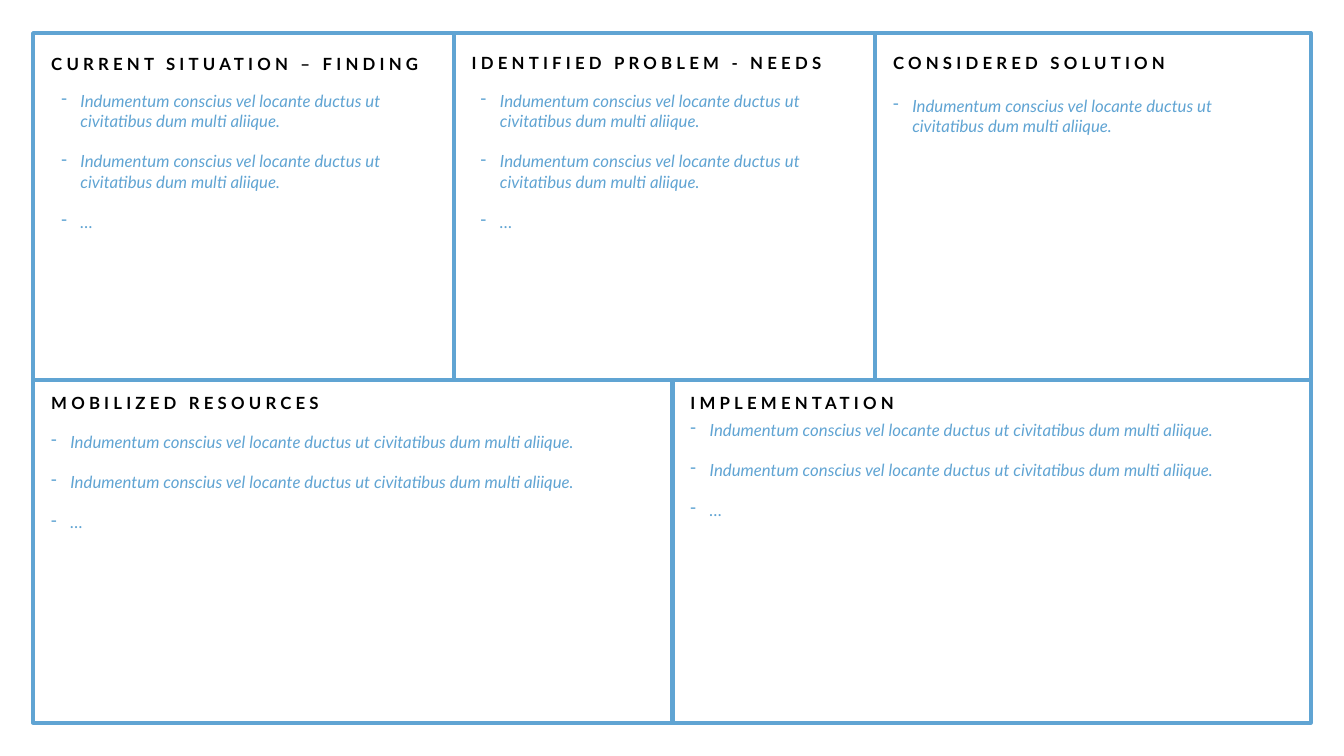
from pptx import Presentation
from pptx.dml.color import RGBColor
from pptx.enum.shapes import MSO_SHAPE
from pptx.enum.text import MSO_AUTO_SIZE
from pptx.oxml.xmlchemy import OxmlElement
from pptx.util import Inches, Pt

BLUE, BLACK = "60A4D3", "000000"
FONT = "Lato"
LINE = "Indumentum conscius vel locante ductus ut civitatibus dum multi aliique."
FULL = [LINE, LINE, "…"]

LEFT, TOP, RIGHT, BASE = 0.33, 0.33, 13.0, 7.17
SPLIT = 3.77
PAD = 0.08
HEAD_W, HEAD_H = 4.04, 0.3

# fields: heading, items, heading top, list indent, list top, list width, list height
ROWS = [
    (TOP, SPLIT, [LEFT, 4.5, 8.68, RIGHT], [
        ("CURRENT SITUATION – FINDING", FULL, 0.48, 0.1, 0.85, 3.43, 1.72),
        ("IDENTIFIED PROBLEM - NEEDS", FULL, 0.47, 0.09, 0.85, 3.43, 1.51),
        ("CONSIDERED SOLUTION", [LINE], 0.47, 0, 0.9, 3.43, 0.71),
    ]),
    (SPLIT, BASE, [LEFT, 6.67, RIGHT], [
        ("MOBILIZED RESOURCES", FULL, 3.85, 0, 4.23, 6.14, 1.31),
        ("IMPLEMENTATION", FULL, 3.85, 0, 4.11, 6.05, 1.31),
    ]),
]


def paint(color):
    return RGBColor.from_string(color)


def add_pane(slide, left, top, right, base):
    pane = slide.shapes.add_shape(
        MSO_SHAPE.RECTANGLE, Inches(left), Inches(top),
        Inches(right - left), Inches(base - top))
    pane.shadow.inherit = False
    pane.fill.background()
    pane.line.color.rgb = paint(BLUE)
    pane.line.width = Pt(3)


def add_text(slide, left, top, width, height, lines, color):
    box = slide.shapes.add_textbox(
        Inches(left), Inches(top), Inches(width), Inches(height))
    frame = box.text_frame
    frame.word_wrap = True
    frame.auto_size = MSO_AUTO_SIZE.SHAPE_TO_FIT_TEXT
    frame.text = "\n".join(lines)
    for para in frame.paragraphs:
        para.font.name = FONT
        para.font.size = Pt(12)
        para.font.color.rgb = paint(color)
    return frame.paragraphs


def add_head(slide, left, top, text):
    para = add_text(slide, left, top, HEAD_W, HEAD_H, [text], BLACK)[0]
    para.font.bold = True
    para.runs[0].font._element.set("spc", "300")


def add_list(slide, left, top, width, height, items):
    paras = add_text(slide, left, top, width, height, items, BLUE)
    for order, para in enumerate(paras):
        para.font.italic = True
        if order:
            para.space_before = Pt(14.4)
        props = para._p.get_or_add_pPr()
        props.set("marL", str(Inches(0.19)))
        props.set("indent", str(-Inches(0.19)))
        mark = OxmlElement("a:buChar")
        mark.set("char", "-")
        props.find("{*}defRPr").addprevious(mark)


def main():
    deck = Presentation()
    deck.slide_width, deck.slide_height = Inches(13.33), Inches(7.5)
    slide = deck.slides.add_slide(deck.slide_layouts[6])
    for top, base, edges, panes in ROWS:
        for left, right, pane in zip(edges, edges[1:], panes):
            head, items, head_top, shift, list_top, width, height = pane
            add_pane(slide, left, top, right, base)
            add_head(slide, left + PAD, head_top, head)
            add_list(slide, left + PAD + shift, list_top, width, height, items)
    deck.save("out.pptx")


if __name__ == "__main__":
    main()
